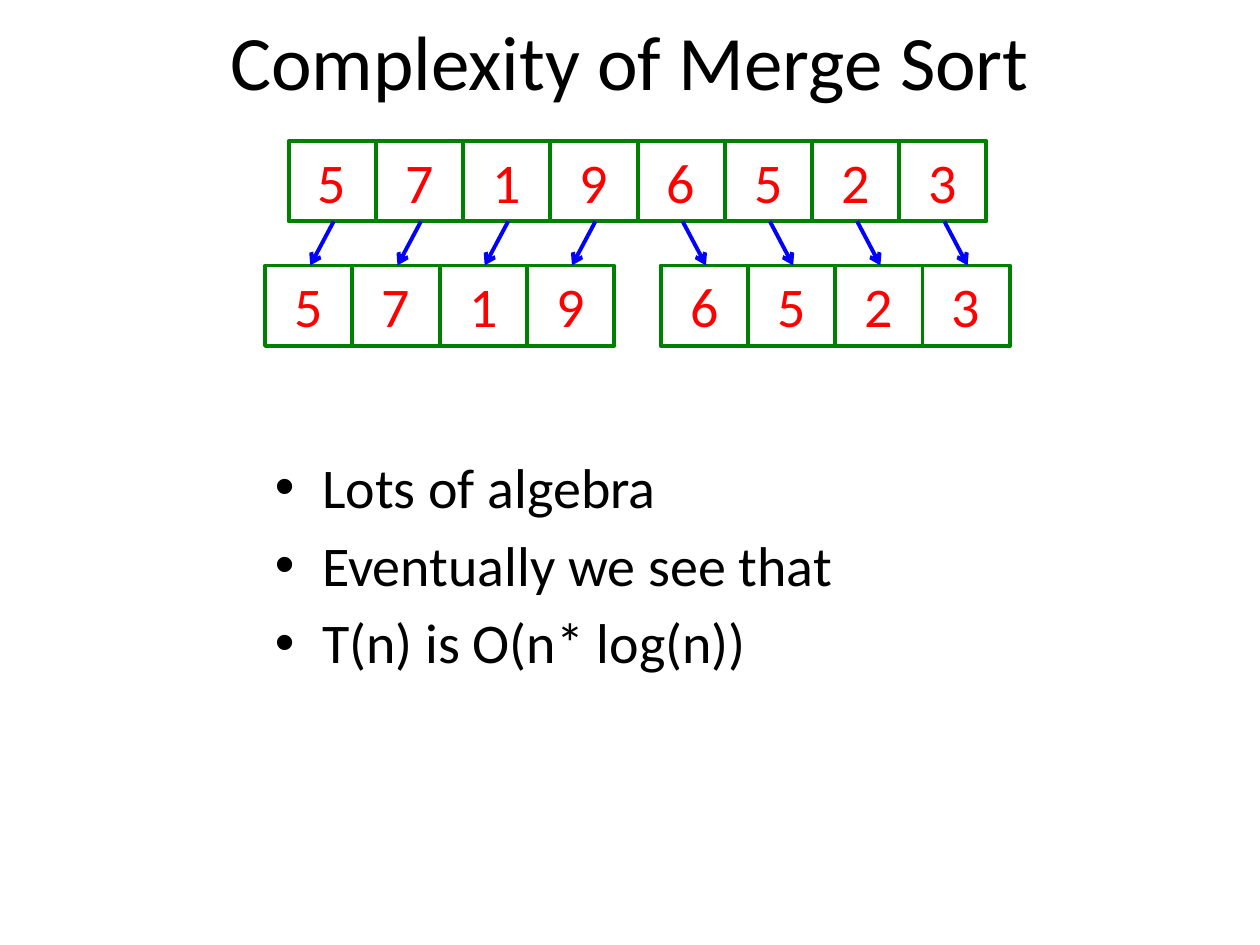
"""Build a slide on the complexity of merge sort."""
import pptx
import pptx.dml.color
import pptx.enum.shapes
import pptx.enum.text
import pptx.oxml
import pptx.oxml.ns
import pptx.util

Pt = pptx.util.Pt
ALIGN = pptx.enum.text.PP_ALIGN
ANCHOR = pptx.enum.text.MSO_ANCHOR

TITLE = "Complexity of Merge Sort"
NUMBERS = [5, 7, 1, 9, 6, 5, 2, 3]
POINTS = ["Lots of algebra", "Eventually we see that", "T(n) is O(n* log(n))"]

COLORS = {"text": "000000", "number": "FF0000", "cell": "008000", "arrow": "0000FF"}
FONT = "Calibri"
LINE_WIDTH = 2.25
CELL_WIDTH, CELL_HEIGHT = 49.85, 46
WHOLE_LEFT, WHOLE_TOP = 164.9, 80.5
HALF_LEFTS, HALF_TOP = (151.5, 377.6), 151.7
ARROW_OFFSET = 25.8
BULLET_INDENT = 27


def color(name):
    return pptx.dml.color.RGBColor.from_string(COLORS[name])


def write(paragraph, text, size, ink):
    run = paragraph.add_run()
    run.text = text
    run.font.name = FONT
    run.font.size = Pt(size)
    run.font.color.rgb = color(ink)


def add_text_frame(slide, left, top, width, height, anchor):
    frame = slide.shapes.add_textbox(Pt(left), Pt(top), Pt(width), Pt(height)).text_frame
    frame.word_wrap = True
    frame.vertical_anchor = anchor
    return frame


def add_cell(slide, number, left, top):
    cell = slide.shapes.add_shape(
        pptx.enum.shapes.MSO_SHAPE.RECTANGLE,
        Pt(left), Pt(top), Pt(CELL_WIDTH), Pt(CELL_HEIGHT))
    cell.shadow.inherit = False
    cell.fill.background()
    cell.line.color.rgb = color("cell")
    cell.line.width = Pt(LINE_WIDTH)
    cell.text_frame.vertical_anchor = ANCHOR.TOP
    paragraph = cell.text_frame.paragraphs[0]
    paragraph.alignment = ALIGN.CENTER
    write(paragraph, str(number), 32, "number")


def add_arrow(slide, start_x, end_x):
    arrow = slide.shapes.add_connector(
        pptx.enum.shapes.MSO_CONNECTOR.STRAIGHT,
        Pt(start_x), Pt(WHOLE_TOP + CELL_HEIGHT), Pt(end_x), Pt(HALF_TOP))
    arrow.line.color.rgb = color("arrow")
    arrow.line.width = Pt(LINE_WIDTH)
    head = pptx.oxml.parse_xml(
        f'<a:tailEnd {pptx.oxml.ns.nsdecls("a")} type="arrow"/>')
    arrow.line._get_or_add_ln().append(head)
    arrow._element.spPr.append(
        pptx.oxml.parse_xml(f'<a:effectLst {pptx.oxml.ns.nsdecls("a")}/>'))


def add_bullet(paragraph):
    properties = paragraph._p.get_or_add_pPr()
    properties.set("marL", str(Pt(BULLET_INDENT)))
    properties.set("indent", str(-Pt(BULLET_INDENT)))
    namespace = pptx.oxml.ns.nsdecls("a")
    for bullet in ('buFont {} typeface="Arial"', 'buChar {} char="•"'):
        properties.append(pptx.oxml.parse_xml(f"<a:{bullet.format(namespace)}/>"))


def main():
    deck = pptx.Presentation()
    deck.slide_width, deck.slide_height = Pt(720), Pt(540)
    slide = deck.slides.add_slide(deck.slide_layouts[6])

    heading = add_text_frame(slide, 36, -10.8, 648, 90, ANCHOR.MIDDLE).paragraphs[0]
    heading.alignment = ALIGN.CENTER
    write(heading, TITLE, 44, "text")

    body = add_text_frame(slide, 150, 255, 648, 356, ANCHOR.TOP)
    for index, point in enumerate(POINTS):
        paragraph = body.add_paragraph() if index else body.paragraphs[0]
        add_bullet(paragraph)
        if index:
            paragraph.space_before = Pt(6)
        write(paragraph, point, 32, "text")

    half_size = len(NUMBERS) // 2
    for index, number in enumerate(NUMBERS):
        half, position = divmod(index, half_size)
        whole_x = WHOLE_LEFT + index * CELL_WIDTH
        half_x = HALF_LEFTS[half] + position * CELL_WIDTH
        add_cell(slide, number, whole_x, WHOLE_TOP)
        add_cell(slide, number, half_x, HALF_TOP)
        add_arrow(slide, whole_x + ARROW_OFFSET, half_x + ARROW_OFFSET)

    deck.save("out.pptx")


if __name__ == "__main__":
    main()
